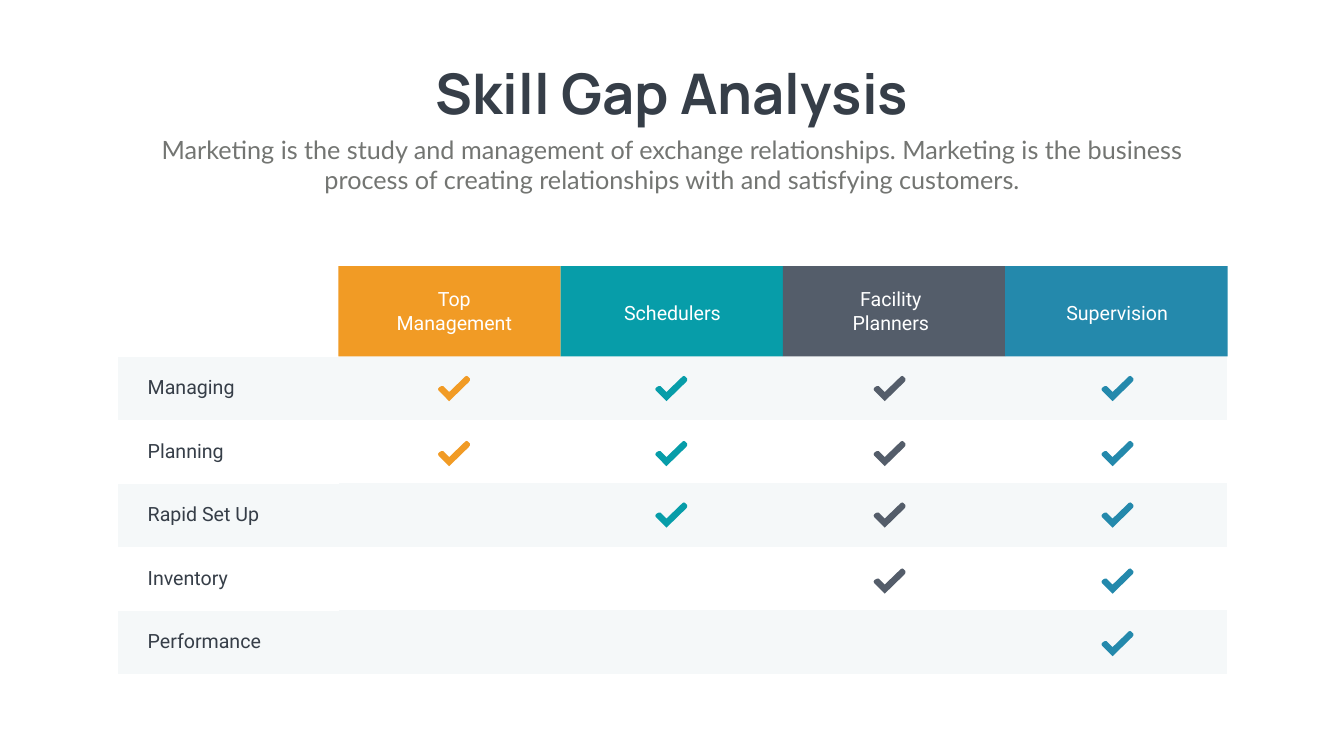
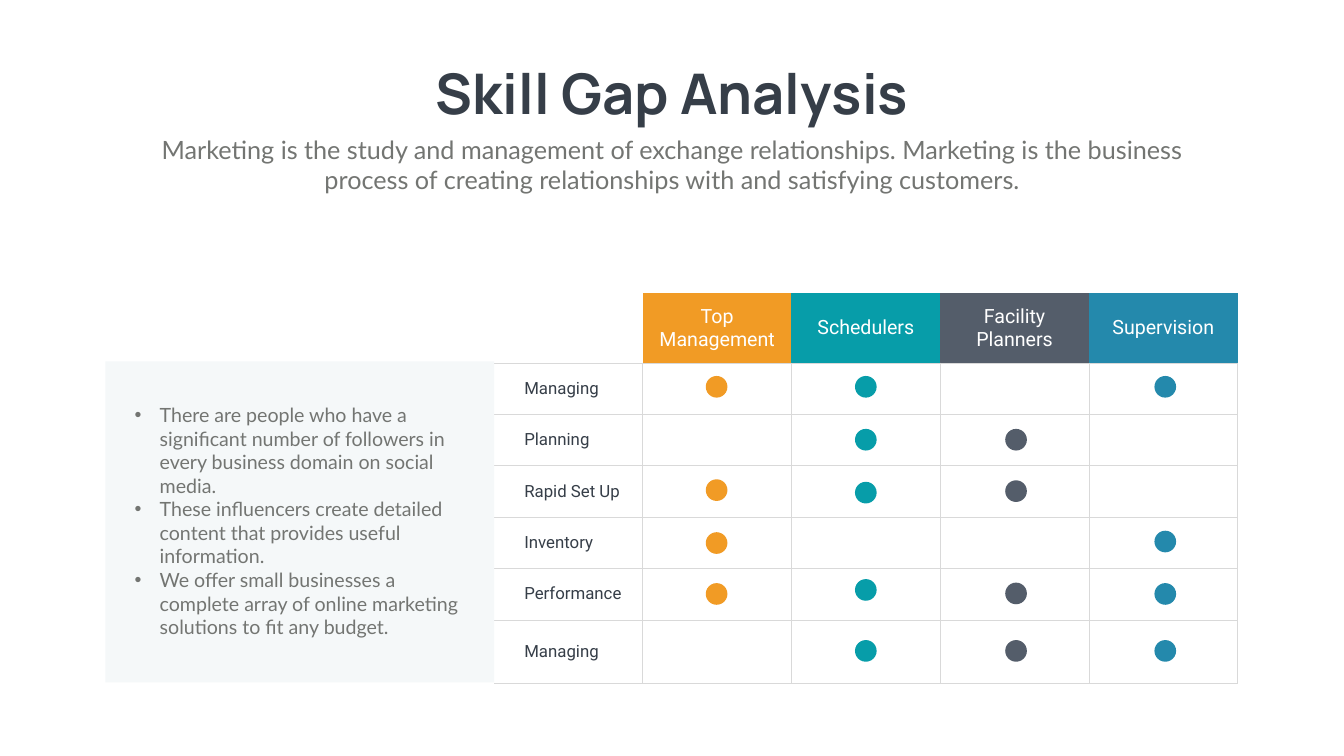
from lxml import etree
from pptx import Presentation
from pptx import util as u
from pptx.dml.color import RGBColor
from pptx.enum import shapes, text
from pptx.oxml import ns

COLORS = {
    "orange": "F19B25", "teal": "079DA9", "slate": "545D6A", "blue": "2489AC",
    "ink": "363E48", "gray": "737572", "band": "F5F8F9", "rule": "D9D9D9", "white": "FFFFFF",
}
ROLES = {
    "Top Management": "orange", "Schedulers": "teal",
    "Facility Planners": "slate", "Supervision": "blue",
}
SKILLS = ["Managing", "Planning", "Rapid Set Up", "Inventory", "Performance"]
TITLE = "Skill Gap Analysis"
SUBTITLE = ("Marketing is the study and management of exchange relationships. Marketing is the "
            "business process of creating relationships with and satisfying customers.")
BENEFITS = [
    "There are people who have a significant number of followers in every business domain "
    "on social media.",
    "These influencers create detailed content that provides useful information.",
    "We offer small businesses a complete array of online marketing solutions to fit any budget.",
]
CHECK_OUTLINE = [
    (0.22, 0.5), (0.03, 0.31), (0.01, 0.29), (0, 0.26), (0.01, 0.24), (0.03, 0.22), (0.07, 0.2),
    (0.1, 0.2), (0.12, 0.22), (0.22, 0.32), (0.52, 0.03), (0.54, 0.01), (0.57, 0), (0.59, 0.01),
    (0.61, 0.03), (0.63, 0.05), (0.63, 0.09), (0.61, 0.12),
]


def color(name):
    """Return the named palette colour."""
    return RGBColor.from_string(COLORS[name])


def write(frame, *lines, size=28, font="Roboto", ink="ink", bold=False, align=None, bullet=None):
    """Fill a text frame with one paragraph per line in the given format."""
    for index, line in enumerate(lines):
        para = frame.add_paragraph() if index else frame.paragraphs[0]
        if align:
            para.alignment = align
        if bullet:
            properties = para._p.get_or_add_pPr()
            properties.set("marL", str(u.Inches(0.5)))
            properties.set("indent", str(u.Inches(-0.5)))
            etree.SubElement(properties, ns.qn("a:buFont"), typeface="Arial")
            etree.SubElement(properties, ns.qn("a:buChar"), char=bullet)
        span = para.add_run()
        span.text = line
        span.font.size = u.Pt(size)
        span.font.name = font
        span.font.bold = bold
        span.font.color.rgb = color(ink)


def add_text(page, left, top, width, height, *lines, wrap=True, **style):
    """Add a text box that grows with its text."""
    box = page.shapes.add_textbox(*map(u.Inches, (left, top, width, height)))
    box.text_frame.word_wrap = wrap
    box.text_frame.auto_size = text.MSO_AUTO_SIZE.SHAPE_TO_FIT_TEXT
    write(box.text_frame, *lines, **style)


def paint(shape, fill):
    """Give a shape a flat fill without line or shadow."""
    shape.shadow.inherit = False
    shape.fill.solid()
    shape.fill.fore_color.rgb = color(fill)
    shape.line.fill.background()


def add_block(page, kind, left, top, width, height, fill):
    """Add a flat preset shape."""
    paint(page.shapes.add_shape(kind, *map(u.Inches, (left, top, width, height))), fill)


def add_check(page, left, top, fill):
    """Add a check mark with rounded ends."""
    points = [(u.Inches(left + x), u.Inches(top + y)) for x, y in CHECK_OUTLINE]
    builder = page.shapes.build_freeform(*points[0])
    builder.add_line_segments(points[1:], close=True)
    paint(builder.convert_to_shape(), fill)


def style_cell(cell, fill, borders):
    """Set the fill of a cell and its borders, given as side: (colour, points)."""
    cell.fill.solid()
    cell.fill.fore_color.rgb = color(fill)
    cell.vertical_anchor = text.MSO_ANCHOR.MIDDLE
    properties = cell._tc.get_or_add_tcPr()
    for index, side in enumerate("LRTB"):
        line = etree.Element(ns.qn(f"a:ln{side}"))
        if side in borders:
            name, points = borders[side]
            line.set("w", str(u.Pt(points)))
            solid = etree.SubElement(line, ns.qn("a:solidFill"))
            etree.SubElement(solid, ns.qn("a:srgbClr"), val=COLORS[name])
        else:
            line.set("w", "0")
            etree.SubElement(line, ns.qn("a:noFill"))
        properties.insert(index, line)


def add_grid(page, left, top, column, heights):
    """Add a plain table with a label column and one column per role."""
    count = len(ROLES) + 1
    frame = page.shapes.add_table(len(heights), count, u.Inches(left), u.Inches(top),
                                  u.Inches(column * count), u.Inches(sum(heights)))
    table = frame.table
    table.first_row = table.horz_banding = False
    for row, height in zip(table.rows, heights):
        row.height = u.Inches(height)
    return table


def label_rows(table, skills, size):
    """Write the skill names down the first column."""
    for row, skill in enumerate(skills, 1):
        cell = table.cell(row, 0)
        cell.margin_left = u.Inches(0.6)
        write(cell.text_frame, skill, size=size)


def add_heading(page):
    """Add the title and subtitle shared by the slides."""
    center = text.PP_ALIGN.CENTER
    add_text(page, 8.13, 1.12, 10.41, 1.45, TITLE, wrap=False, size=80, font="Manrope",
             bold=True, align=center)
    add_text(page, 2.92, 2.61, 20.82, 1.31, SUBTITLE, size=36, font="Lato", ink="gray",
             align=center)


def add_check_matrix(page, left, top):
    """Add the banded skill table with header blocks and check marks."""
    table = add_grid(page, left, top + 0.53, 4.4, [1.26] * 6)
    edges = {"L": ("white", 1), "T": ("white", 0.5), "B": ("white", 0.5)}
    for row in range(len(table.rows)):
        for column in range(len(table.columns)):
            style_cell(table.cell(row, column), "band" if row % 2 else "white",
                       {} if column else edges)
    label_rows(table, SKILLS, 28)
    label_lefts = [5.39, 9.72, 14.05, 18.54]
    check_lefts = [6.36, 10.67, 15, 19.52]
    check_tops = [2.18, 3.47, 4.69, 6, 7.24]
    for index, (role, fill) in enumerate(ROLES.items()):
        add_block(page, shapes.MSO_SHAPE.RECTANGLE, left + 4.38 + 4.41 * index, top, 4.41, 1.79,
                  fill)
        drop, height = (0.37, 1.04) if " " in role else (0.65, 0.57)
        add_text(page, left + label_lefts[index], top + drop, 2.58, height, role, ink="white",
                 align=text.PP_ALIGN.CENTER)
        for check_top in check_tops[:index + 2]:
            add_check(page, left + check_lefts[index], top + check_top, fill)


def add_dot_matrix(page, left, top):
    """Add the ruled skill table with coloured headers and dots."""
    table = add_grid(page, left, top, 2.95, [1.38] + [1.02] * 5 + [1.25])
    rule = ("rule", 1)
    for row in range(len(table.rows)):
        for column, fill in enumerate(["white", *ROLES.values()]):
            sides = "B" if row == 0 else "LRTB" if column else "RTB"
            style_cell(table.cell(row, column), "white" if row else fill,
                       dict.fromkeys(sides, rule))
    for column, role in enumerate(ROLES, 1):
        write(table.cell(0, column).text_frame, role, ink="white", align=text.PP_ALIGN.CENTER)
    label_rows(table, SKILLS + SKILLS[:1], 24)
    dots = {
        "orange": (4.2, [1.64, 3.69, 4.74, 5.75]),
        "teal": (7.16, [1.64, 2.69, 3.74, 5.67, 6.88]),
        "slate": (10.14, [2.69, 3.71, 5.74, 6.88]),
        "blue": (13.1, [1.64, 4.71, 5.75, 6.88]),
    }
    for fill, (dot_left, dot_tops) in dots.items():
        for dot_top in dot_tops:
            add_block(page, shapes.MSO_SHAPE.OVAL, left + dot_left, top + dot_top, 0.43, 0.43,
                      fill)


def add_benefits(page, left, top):
    """Add the tinted panel with bulleted text."""
    add_block(page, shapes.MSO_SHAPE.RECTANGLE, left, top, 7.71, 6.37, "band")
    add_text(page, left + 0.48, top + 0.78, 6.74, 4.81, *BENEFITS, font="Lato", ink="gray",
             bullet="•")


def add_page(deck):
    """Add a blank slide with the shared heading."""
    page = deck.slides.add_slide(deck.slide_layouts[6])
    add_heading(page)
    return page


def main():
    """Build and save the deck."""
    deck = Presentation()
    deck.slide_width, deck.slide_height = u.Inches(26.66), u.Inches(15)
    add_check_matrix(add_page(deck), 2.33, 5.28)
    page = add_page(deck)
    add_dot_matrix(page, 9.8, 5.82)
    add_benefits(page, 2.09, 7.17)
    deck.save("out.pptx")


if __name__ == "__main__":
    main()
